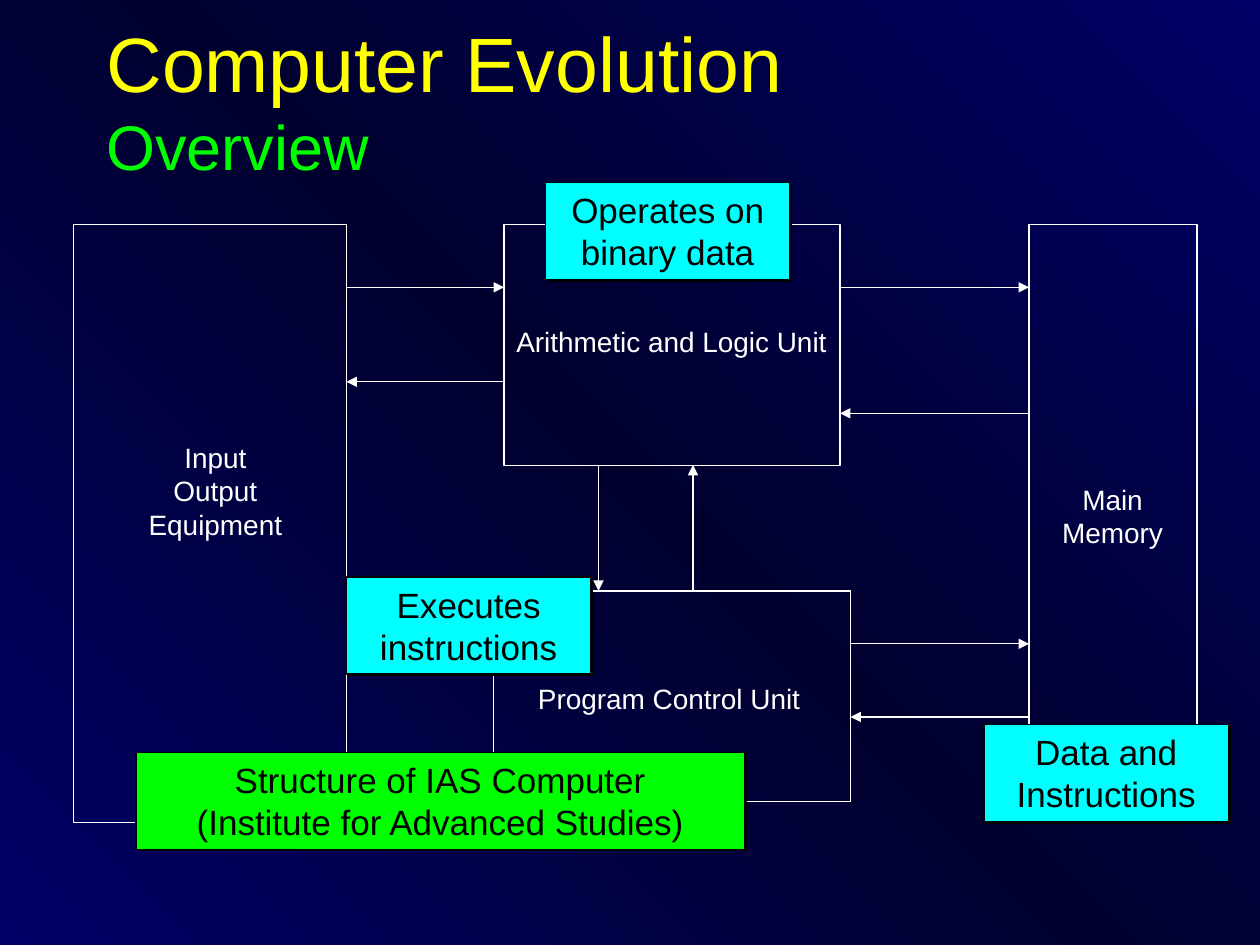
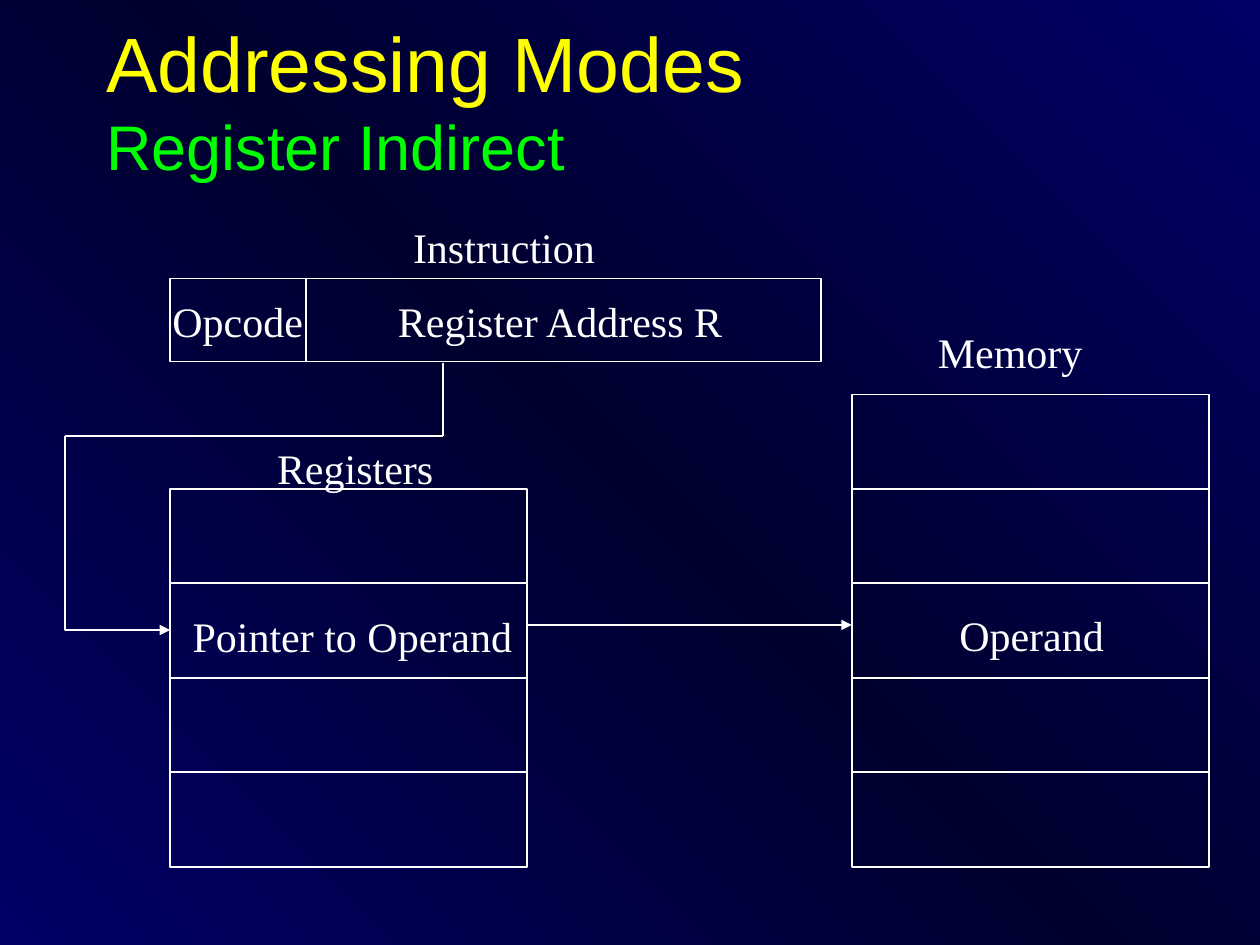
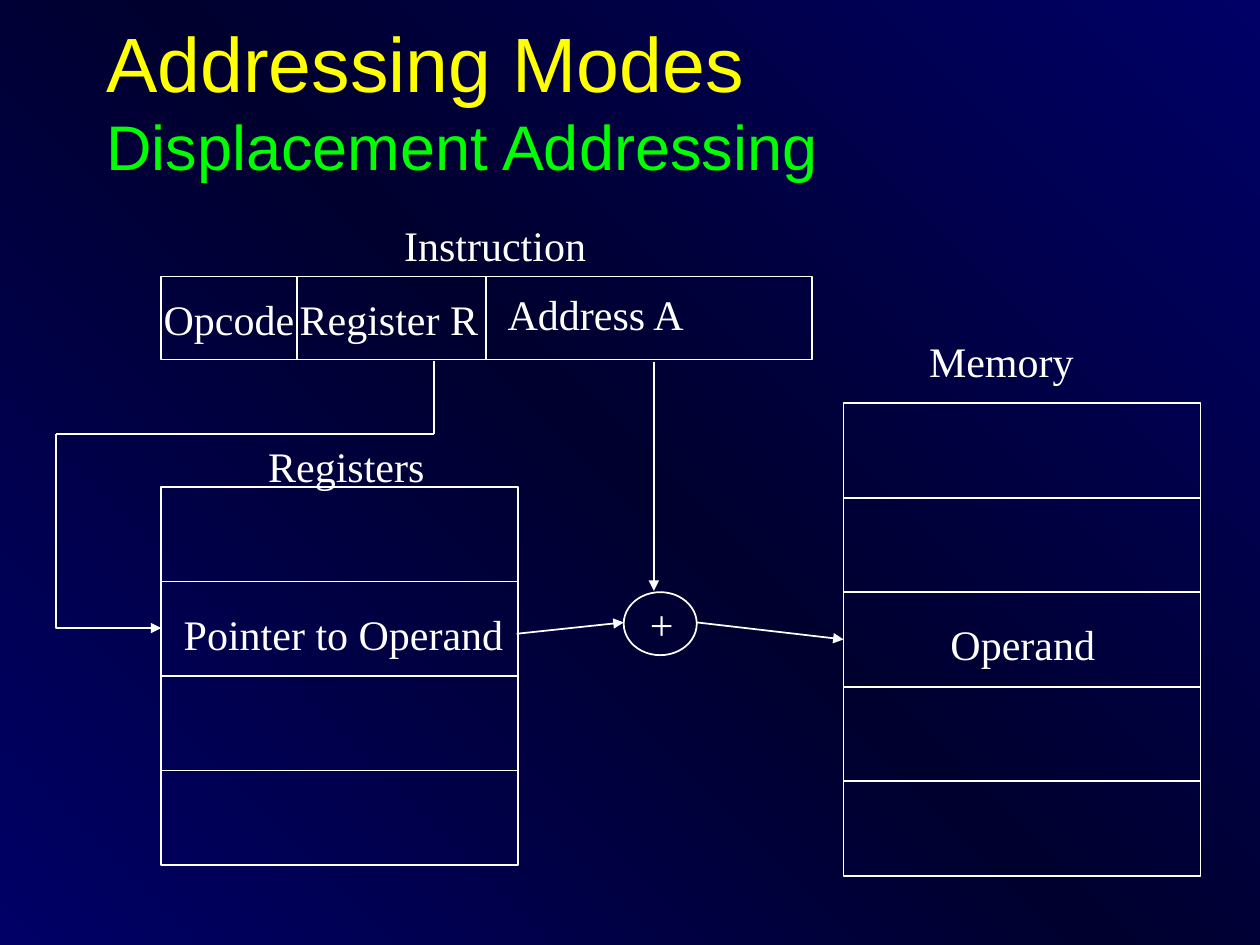
"""Build three slides on computer structure and addressing modes."""
from dataclasses import dataclass
from typing import Any, NamedTuple

import lxml.etree
import copy
import pptx
import pptx.dml.color
import pptx.enum.shapes
import pptx.enum.text
import pptx.oxml.ns
import pptx.util

COLORS = {
    "edge": "000066",
    "middle": "00002F",
    "title": "FFFF00",
    "subtitle": "00FF00",
    "chalk": "FFFFFF",
    "ink": "000000",
    "note": "00FFFF",
    "caption": "00FF00",
}
SLIDE_COLUMNS, SLIDE_ROWS = 100, 75
UNIT = pptx.util.Inches(0.1)
CELL_WIDTH, CELL_HEIGHT = 28.33, 7.5
FIELD_HEIGHT = 6.6
SANS, SERIF = "Arial", "Times New Roman"
ALIGN = pptx.enum.text.PP_ALIGN
SHAPE = pptx.enum.shapes.MSO_SHAPE
qn = pptx.oxml.ns.qn


class Area(NamedTuple):
    """A rectangle in grid columns and rows."""

    left: float
    top: float
    width: float
    height: float

    def emu(self) -> list[int]:
        """Give the rectangle in slide lengths."""
        return [round(value * UNIT) for value in self]

    def moved(self, columns: float, rows: float) -> "Area":
        """Give the rectangle shifted on the grid."""
        return self._replace(left=self.left + columns, top=self.top + rows)


class Point(NamedTuple):
    """A place in grid columns and rows."""

    column: float
    row: float

    def emu(self) -> list[int]:
        """Give the place in slide lengths."""
        return [round(value * UNIT) for value in self]


class Label(NamedTuple):
    """A text and its area."""

    text: str
    area: Area


class Note(NamedTuple):
    """A filled callout."""

    text: str
    area: Area
    fill: str


class Arrow(NamedTuple):
    """A straight arrow."""

    start: Point
    end: Point


@dataclass(frozen=True)
class AddressingMode:
    """An addressing diagram; fields and dividers count from its instruction."""

    subtitle: str
    left: float
    top: float
    memory_top: float
    dividers: tuple[float, ...]
    fields: tuple[Label, ...]


UNITS = (
    Area(5.83, 17.8, 21.67, 47.5),
    Area(40, 17.8, 26.67, 19.17),
    Area(39.17, 46.9, 28.33, 16.7),
    Area(81.67, 17.8, 13.33, 45.8),
)
UNIT_LABELS = (
    Label("Main\nMemory", Area(83.1, 37.8, 10.4, 6.4)),
    Label("Arithmetic and Logic Unit", Area(39.8, 25.3, 27, 3.7)),
    Label("Program Control Unit", Area(41.5, 53.6, 23.2, 3.7)),
    Label("Input\nOutput\nEquipment", Area(10.6, 34.45, 13, 9)),
)
DATA_FLOWS = (
    Arrow(Point(27.5, 22.8), Point(40, 22.8)),
    Arrow(Point(40, 30.3), Point(27.5, 30.3)),
    Arrow(Point(67.5, 51.1), Point(81.67, 51.1)),
    Arrow(Point(81.67, 56.9), Point(67.5, 56.9)),
    Arrow(Point(47.5, 36.9), Point(47.5, 46.9)),
    Arrow(Point(55, 46.9), Point(55, 36.9)),
    Arrow(Point(66.67, 22.8), Point(81.67, 22.8)),
    Arrow(Point(81.67, 32.8), Point(66.67, 32.8)),
)
NOTE_WIDTH, NOTE_HEIGHT = 19.4, 7.7
NOTES = (
    Note("Structure of IAS Computer\n(Institute for Advanced Studies)",
         Area(10.8, 59.7, 48.3, NOTE_HEIGHT), "caption"),
    Note("Data and Instructions", Area(78.1, 57.5, NOTE_WIDTH, NOTE_HEIGHT), "note"),
    Note("Operates on binary data", Area(43.3, 14.5, NOTE_WIDTH, NOTE_HEIGHT), "note"),
    Note("Executes instructions", Area(27.5, 45.8, NOTE_WIDTH, NOTE_HEIGHT), "note"),
)
OPCODE = Label("Opcode", Area(-0.8, 0.85, 12.7, 5))
REGISTER_INDIRECT = AddressingMode(
    "Register Indirect", 13.5, 22.1, 31.3, (10.8,),
    (OPCODE, Label("Register Address R", Area(17.1, 0.85, 28.2, 5))),
)
DISPLACEMENT = AddressingMode(
    "Displacement Addressing", 12.8, 21.95, 32, (10.8, 25.8),
    (OPCODE,
     Label("Register R", Area(10, 0.85, 16.5, 5)),
     Label("Address A", Area(26.5, 0.45, 16.5, 5))),
)


def rgb(name: str) -> pptx.dml.color.RGBColor:
    """Look up a colour."""
    return pptx.dml.color.RGBColor.from_string(COLORS[name])


def write(paragraph: Any, text: str, *, size: float, font: str = SANS,
          color: str = "chalk", align: Any = ALIGN.LEFT) -> None:
    """Add text to a paragraph, with line breaks where it has newlines."""
    paragraph.alignment = align
    for index, line in enumerate(text.split("\n")):
        if index:
            paragraph.add_line_break()
        run = paragraph.add_run()
        run.text = line
        run.font.size = pptx.util.Pt(size)
        run.font.name = font
        run.font.color.rgb = rgb(color)


def style_line(shape: Any, width: float, arrow: bool = False, color: str = "chalk") -> None:
    """Set a shape's line and its arrowhead."""
    shape.line.color.rgb = rgb(color)
    shape.line.width = pptx.util.Pt(width)
    if arrow:
        line = shape.element.spPr.find(qn("a:ln"))
        lxml.etree.SubElement(line, qn("a:tailEnd"), type="triangle")


def add_outline(slide: Any, area: Area, width: float = 1, kind: Any = SHAPE.RECTANGLE) -> Any:
    """Draw an unfilled shape."""
    shape = slide.shapes.add_shape(kind, *area.emu())
    shape.shadow.inherit = False
    shape.fill.background()
    style_line(shape, width)
    return shape


def add_line(slide: Any, start: Point, end: Point, width: float = 1, arrow: bool = False) -> Any:
    """Draw a straight connector."""
    connector = slide.shapes.add_connector(
        pptx.enum.shapes.MSO_CONNECTOR.STRAIGHT, *start.emu(), *end.emu())
    style_line(connector, width, arrow)
    lxml.etree.SubElement(connector.element.spPr, qn("a:effectLst"))
    return connector


def add_label(slide: Any, label: Label, **style: Any) -> None:
    """Place a label with one paragraph per line."""
    box = slide.shapes.add_textbox(*label.area.emu())
    frame = box.text_frame
    frame.word_wrap = False
    frame.auto_size = pptx.enum.text.MSO_AUTO_SIZE.SHAPE_TO_FIT_TEXT
    for index, line in enumerate(label.text.split("\n")):
        paragraph = frame.add_paragraph() if index else frame.paragraphs[0]
        write(paragraph, line, **style)


def add_note(slide: Any, note: Note) -> None:
    """Draw a filled callout with a hard shadow."""
    shape = slide.shapes.add_shape(SHAPE.RECTANGLE, *note.area.emu())
    shape.fill.solid()
    shape.fill.fore_color.rgb = rgb(note.fill)
    style_line(shape, 0.75, color="ink")
    shape.shadow.inherit = False
    effects = shape.element.spPr.find(qn("a:effectLst"))
    shadow = lxml.etree.SubElement(
        effects, qn("a:outerShdw"), dist=str(pptx.util.Pt(1.4)), dir="2700000", algn="ctr")
    lxml.etree.SubElement(shadow, qn("a:srgbClr"), val=COLORS["ink"])
    frame = shape.text_frame
    frame.word_wrap = True
    frame.vertical_anchor = pptx.enum.text.MSO_ANCHOR.TOP
    frame.auto_size = pptx.enum.text.MSO_AUTO_SIZE.SHAPE_TO_FIT_TEXT
    write(frame.paragraphs[0], note.text, size=20, color="ink", align=ALIGN.CENTER)


def paint_background(master: Any) -> None:
    """Give all slides the diagonal gradient."""
    fill = master.background.fill
    fill.gradient()
    fill.gradient_angle = 225
    stop_list = master.element.find(".//" + qn("p:bg")).find(".//" + qn("a:gsLst"))
    stop_list.insert(1, copy.deepcopy(stop_list[0]))
    for stop, position, name in zip(fill.gradient_stops, (0, 0.5, 1), ("edge", "middle", "edge")):
        stop.position = position
        stop.color.rgb = rgb(name)


def add_titled_slide(deck: Any, heading: str, subtitle: str) -> Any:
    """Add a slide with a two-line title."""
    slide = deck.slides.add_slide(deck.slide_layouts.get_by_name("Title Only"))
    title = slide.shapes.title
    title.left, title.top, title.width, title.height = Area(7.45, 1.65, 85, 12.5).emu()
    frame = title.text_frame
    frame.auto_size = pptx.enum.text.MSO_AUTO_SIZE.NONE
    frame.vertical_anchor = pptx.enum.text.MSO_ANCHOR.MIDDLE
    paragraph = frame.paragraphs[0]
    write(paragraph, heading, size=44, color="title")
    paragraph.add_line_break()
    write(paragraph, subtitle, size=36, color="subtitle")
    return slide


def add_cells(slide: Any, left: float, top: float, count: int) -> list[Any]:
    """Stack equal storage cells."""
    return [add_outline(slide, Area(left, top + row * CELL_HEIGHT, CELL_WIDTH, CELL_HEIGHT))
            for row in range(count)]


def add_register_route(slide: Any, left: float, top: float) -> None:
    """Lead from the instruction round to the register cell."""
    drop, outer, turn, entry = left + 21.65, left - 8.35, top + 12.5, top + 27.9
    add_line(slide, Point(drop, top + 6.7), Point(drop, turn))
    add_line(slide, Point(drop, turn), Point(outer, turn))
    builder = slide.shapes.build_freeform(*Point(outer, turn).emu())
    builder.add_line_segments(
        [Point(outer, entry).emu(), Point(left, entry).emu()], close=False)
    route = builder.convert_to_shape()
    route.shadow.inherit = False
    route.fill.background()
    style_line(route, 1, arrow=True)


def add_addressing_slide(deck: Any, mode: AddressingMode) -> tuple[Any, list[Any]]:
    """Draw instruction, registers and memory; return slide and memory cells."""
    slide = add_titled_slide(deck, "Addressing Modes", mode.subtitle)
    left, top = mode.left, mode.top
    memory_left = left + 54.15
    add_outline(slide, Area(left, top, 51.67, FIELD_HEIGHT))
    for offset in mode.dividers:
        add_line(slide, Point(left + offset, top), Point(left + offset, top + FIELD_HEIGHT))
    memory = add_cells(slide, memory_left, mode.memory_top, 5)
    add_cells(slide, left, top + 16.7, 4)
    add_register_route(slide, left, top)
    names = (
        Label("Instruction", Area(18.3, -5, 17, 5)),
        Label("Registers", Area(7.5, 12.5, 14.8, 5)),
        Label("Pointer to Operand", Area(0.8, 25.85, 27.8, 5)),
    )
    memory_names = (
        Label("Memory", Area(5.8, -5.9, 13.9, 5)),
        Label("Operand", Area(7.5, 16.6, 13.9, 5)),
    )
    for labels, origin in ((mode.fields + names, (left, top)),
                           (memory_names, (memory_left, mode.memory_top))):
        for label in labels:
            add_label(slide, Label(label.text, label.area.moved(*origin)), size=24, font=SERIF)
    return slide, memory


def add_overview_slide(deck: Any) -> None:
    """Draw the computer's units and their data flows."""
    slide = add_titled_slide(deck, "Computer Evolution", "Overview")
    for unit in UNITS:
        add_outline(slide, unit, 0.75)
    for label in UNIT_LABELS:
        add_label(slide, label, size=16, align=ALIGN.CENTER)
    for flow in DATA_FLOWS:
        add_line(slide, flow.start, flow.end, 0.75, arrow=True)
    for note in NOTES:
        add_note(slide, note)


def add_register_indirect_slide(deck: Any) -> None:
    """Point from the register straight to the operand."""
    slide, _ = add_addressing_slide(deck, REGISTER_INDIRECT)
    add_line(slide, Point(41.8, 49.6), Point(67.6, 49.6), 0.75, arrow=True)


def add_displacement_slide(deck: Any) -> None:
    """Add register and address to reach the operand."""
    slide, memory = add_addressing_slide(deck, DISPLACEMENT)
    add_outline(slide, Area(49.5, 47, 5.8, 5), kind=SHAPE.OVAL)
    add_label(slide, Label("+", Area(50.6, 47, 4.1, 5)), size=24, font=SERIF)
    add_line(slide, Point(41, 50.3), Point(49.5, 49.4), arrow=True)
    add_line(slide, Point(51.9, 28.7), Point(51.9, 46.9), arrow=True)
    operand_arrow = add_line(slide, Point(55.3, 49.4), Point(67, 50.75), arrow=True)
    operand_arrow.end_connect(memory[2], 1)


def main() -> None:
    """Build and save the deck."""
    deck = pptx.Presentation()
    deck.slide_width, deck.slide_height = SLIDE_COLUMNS * UNIT, SLIDE_ROWS * UNIT
    paint_background(deck.slide_master)
    add_overview_slide(deck)
    add_register_indirect_slide(deck)
    add_displacement_slide(deck)
    deck.save("out.pptx")


if __name__ == "__main__":
    main()
